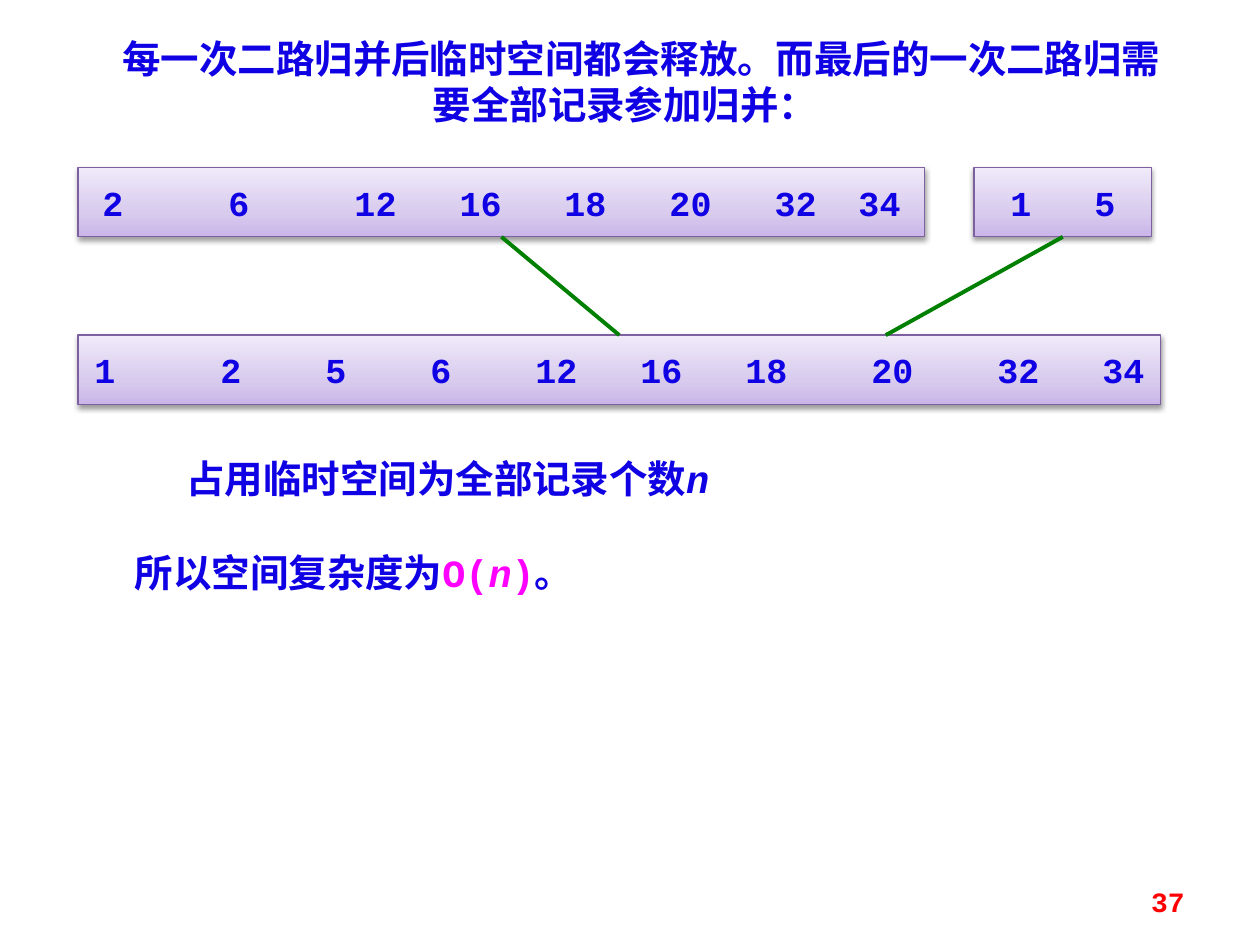
from dataclasses import dataclass
from typing import NamedTuple

from lxml.etree import SubElement
from pptx import Presentation
from pptx.dml.color import RGBColor
from pptx.enum.shapes import MSO_CONNECTOR, MSO_SHAPE
from pptx.enum.text import MSO_ANCHOR, PP_ALIGN
from pptx.oxml import parse_xml
from pptx.oxml.ns import nsdecls, qn
from pptx.util import Inches, Pt


@dataclass(frozen=True)
class Theme:
    face: str = "Courier New"
    blue: str = "1000E4"
    pink: str = "FF00FF"
    red: str = "FF0000"
    green: str = "008000"
    edge: str = "7D60A0"
    shade: tuple = ((0, "C9B5E8"), (35, "D8CBEE"), (100, "F0EAF9"))
    body: int = 22
    cell: int = 20
    page: int = 16


class Span(NamedTuple):
    text: str
    color: str
    size: int
    italic: bool = False


class Note(NamedTuple):
    left: float
    top: float
    width: float
    height: float
    spans: list
    align: PP_ALIGN = PP_ALIGN.CENTER
    anchor: MSO_ANCHOR = MSO_ANCHOR.TOP
    spacing: float = 1.0
    indent: float = 0


class Strip(NamedTuple):
    """A sorted run of keys; each column is counted in character widths."""
    left: float
    top: float
    width: float
    keys: dict


THEME = Theme()
HIGH = 0.55
CHAR = THEME.cell * 0.6 / 72  # width of one monospaced character, inches

NOTES = [
    Note(0.47, 0.23, 8.98, 0.84,
         [Span("每一次二路归并后临时空间都会释放。而最后的一次二路归需要全部记录参加归并：",
               THEME.blue, THEME.body)], indent=0.26),
    Note(0.78, 3.56, 5.55, 0.47,
         [Span("占用临时空间为全部记录个数", THEME.blue, THEME.body),
          Span("n", THEME.blue, THEME.body, True)]),
    Note(0.78, 4.22, 4.06, 0.52,
         [Span("所以空间复杂度为", THEME.blue, THEME.body),
          Span("Ο(", THEME.pink, THEME.body),
          Span("n", THEME.pink, THEME.body, True),
          Span(")", THEME.pink, THEME.body),
          Span("。", THEME.blue, THEME.body)], spacing=1.25),
    Note(7.17, 6.95, 2.33, 0.4, [Span("37", THEME.red, THEME.page)],
         PP_ALIGN.RIGHT, MSO_ANCHOR.MIDDLE),
]

LONG = Strip(0.62, 1.33, 6.72, {2: 0, 6: 6, 12: 12, 16: 17, 18: 22,
                                20: 27, 32: 32, 34: 36})
SHORT = Strip(7.73, 1.33, 1.41, {1: 0, 5: 4})
MERGED = Strip(0.62, 2.66, 8.59, {1: 0, 2: 6, 5: 11, 6: 16, 12: 21, 16: 26,
                                  18: 31, 20: 37, 32: 43, 34: 48})


def apply(target, values: dict) -> None:
    for name, value in values.items():
        setattr(target, name, value)


def write(para, span: Span) -> None:
    run = para.add_run()
    run.text = span.text
    apply(run.font, {"name": THEME.face, "size": Pt(span.size),
                     "bold": True, "italic": span.italic})
    run.font.color.rgb = RGBColor.from_string(span.color)


def add_note(slide, note: Note) -> None:
    box = slide.shapes.add_textbox(*map(Inches, note[:4]))
    apply(box.text_frame, {"word_wrap": True, "vertical_anchor": note.anchor})
    para = box.text_frame.paragraphs[0]
    apply(para, {"alignment": note.align, "line_spacing": note.spacing})
    if note.indent:
        para._p.get_or_add_pPr().set("indent", str(Inches(note.indent)))
    for span in note.spans:
        write(para, span)


def paint(shape) -> None:
    """Give a strip its three-stop gradient, edge and soft shadow."""
    shape.line.color.rgb = RGBColor.from_string(THEME.edge)
    shape.line.width = Pt(0.75)
    stops = "".join(f'<a:gs pos="{pos * 1000}"><a:srgbClr val="{color}"/></a:gs>'
                    for pos, color in THEME.shade)
    props = shape._element.spPr
    props.find(qn("a:prstGeom")).addnext(parse_xml(
        f'<a:gradFill {nsdecls("a")} rotWithShape="1"><a:gsLst>{stops}</a:gsLst>'
        '<a:lin ang="16200000" scaled="0"/></a:gradFill>'))
    props.find(qn("a:ln")).addnext(parse_xml(
        f'<a:effectLst {nsdecls("a")}><a:outerShdw blurRad="{Pt(3.1)}" '
        f'dist="{Pt(1.6)}" dir="5400000" rotWithShape="0"><a:srgbClr val="000000">'
        '<a:alpha val="38000"/></a:srgbClr></a:outerShdw></a:effectLst>'))


def add_strip(slide, strip: Strip):
    shape = slide.shapes.add_shape(
        MSO_SHAPE.RECTANGLE, *map(Inches, (strip.left, strip.top, strip.width, HIGH)))
    paint(shape)
    last, col = list(strip.keys.items())[-1]
    inset = (strip.width - (col + len(str(last))) * CHAR) / 2
    apply(shape.text_frame, {"word_wrap": True, "margin_left": Inches(inset),
                             "margin_right": 0,
                             "vertical_anchor": MSO_ANCHOR.MIDDLE})
    para = shape.text_frame.paragraphs[0]
    para.alignment = PP_ALIGN.LEFT
    tabs = SubElement(para._p.get_or_add_pPr(), qn("a:tabLst"))
    for col in list(strip.keys.values())[1:]:
        SubElement(tabs, qn("a:tab"), pos=str(Inches(col * CHAR)), algn="l")
    write(para, Span("\t".join(map(str, strip.keys)), THEME.blue, THEME.cell))
    return shape


def add_link(slide, source, x: float, y: float):
    """Draw a line from the bottom middle of source to a point."""
    link = slide.shapes.add_connector(MSO_CONNECTOR.STRAIGHT, 0, 0,
                                      Inches(x), Inches(y))
    link.begin_connect(source, 2)
    link.line.color.rgb = RGBColor.from_string(THEME.green)
    link.line.width = Pt(2.25)
    SubElement(link._element.spPr, qn("a:effectLst"))
    return link


def main() -> None:
    deck = Presentation()
    apply(deck, {"slide_width": Inches(10), "slide_height": Inches(7.5)})
    slide = deck.slides.add_slide(deck.slide_layouts[6])
    short, long, merged = (add_strip(slide, s) for s in (SHORT, LONG, MERGED))
    add_link(slide, long, 4.92, MERGED.top).end_connect(merged, 0)
    add_link(slide, short, 7.03, MERGED.top)
    for note in NOTES:
        add_note(slide, note)
    deck.save("out.pptx")


if __name__ == "__main__":
    main()
